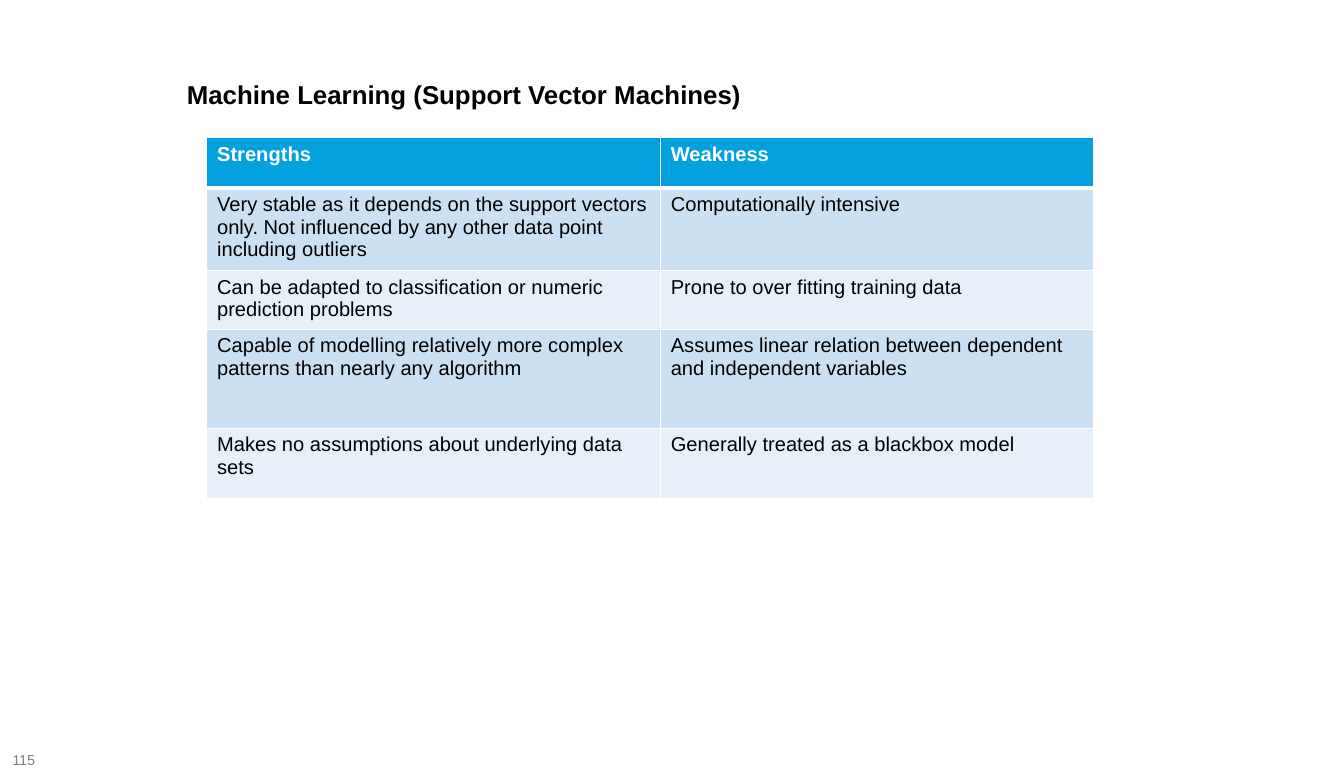
import pptx
import pptx.util
import pptx.dml.color
import pptx.enum.text
import pptx.oxml
import pptx.oxml.ns

Pt = pptx.util.Pt
RGBColor = pptx.dml.color.RGBColor
MSO_ANCHOR = pptx.enum.text.MSO_ANCHOR

WHITE = RGBColor(0xFF, 0xFF, 0xFF)
BLACK = RGBColor(0x00, 0x00, 0x00)
GRAY = RGBColor(0x80, 0x80, 0x80)
HEADER_BLUE = RGBColor(0x03, 0xA2, 0xDF)
BANDS = (RGBColor(0xCC, 0xE0, 0xF3), RGBColor(0xE7, 0xF0, 0xF9))

ROWS = [
    ("Strengths", "Weakness"),
    ("Very stable as it depends on the support vectors only. "
     "Not influenced by any other data point including outliers",
     "Computationally intensive"),
    ("Can be adapted to classification or numeric prediction problems",
     "Prone to over fitting training data"),
    ("Capable of modelling relatively more complex patterns than nearly any algorithm",
     "Assumes linear relation between dependent and independent variables"),
    ("Makes no assumptions about underlying data sets",
     "Generally treated as a blackbox model"),
]
COLUMN_WIDTHS = (316, 302)
ROW_HEIGHTS = (35, 49, 35, 69, 49)


def set_font(p, size, color, bold=False):
    p.font.name = "Arial"
    p.font.size = Pt(size)
    p.font.bold = bold
    p.font.color.rgb = color


def add_text(slide, box, text, size, color, bold=False, anchor=MSO_ANCHOR.TOP):
    tf = slide.shapes.add_textbox(*map(Pt, box)).text_frame
    tf.word_wrap = True
    tf.vertical_anchor = anchor
    tf.text = text
    set_font(tf.paragraphs[0], size, color, bold)
    return tf


def add_page_number(slide, box, number):
    tf = add_text(slide, box, number, 10, GRAY, anchor=MSO_ANCHOR.MIDDLE)
    tf.margin_top = tf.margin_bottom = 0


def set_borders(cell, color, width, bottom_width):
    tcPr = cell._tc.get_or_add_tcPr()
    widths = {"lnL": width, "lnR": width, "lnT": width, "lnB": bottom_width}
    for i, (side, w) in enumerate(widths.items()):
        tcPr.insert(i, pptx.oxml.parse_xml(
            f'<a:{side} {pptx.oxml.ns.nsdecls("a")} w="{Pt(w)}"><a:solidFill>'
            f'<a:srgbClr val="{color}"/></a:solidFill></a:{side}>'))


def add_comparison_table(slide, box):
    table = slide.shapes.add_table(len(ROWS), len(COLUMN_WIDTHS), *map(Pt, box)).table
    for column, width in zip(table.columns, COLUMN_WIDTHS):
        column.width = Pt(width)
    for r, (texts, height) in enumerate(zip(ROWS, ROW_HEIGHTS)):
        header = r == 0
        table.rows[r].height = Pt(height)
        for c, text in enumerate(texts):
            cell = table.cell(r, c)
            cell.text = text
            cell.fill.solid()
            cell.fill.fore_color.rgb = HEADER_BLUE if header else BANDS[(r - 1) % 2]
            set_borders(cell, WHITE, 1, 3 if header else 1)
            if r == 1:  # share the header's thick rule
                cell._tc.tcPr.find(pptx.oxml.ns.qn("a:lnT")).set("w", str(Pt(3)))
            set_font(cell.text_frame.paragraphs[0], 14, WHITE if header else BLACK, header)


def main():
    prs = pptx.Presentation()
    prs.slide_width, prs.slide_height = Pt(936), Pt(540)
    slide = prs.slides.add_slide(prs.slide_layouts[6])
    add_page_number(slide, (1.5, 523.5, 37, 11.5), "115")
    add_comparison_table(slide, (144, 96, sum(COLUMN_WIDTHS), sum(ROW_HEIGHTS)))
    add_text(slide, (123, 51, 663, 32), "Machine Learning (Support Vector Machines)",
             18, BLACK, bold=True)
    prs.save("out.pptx")


if __name__ == "__main__":
    main()
